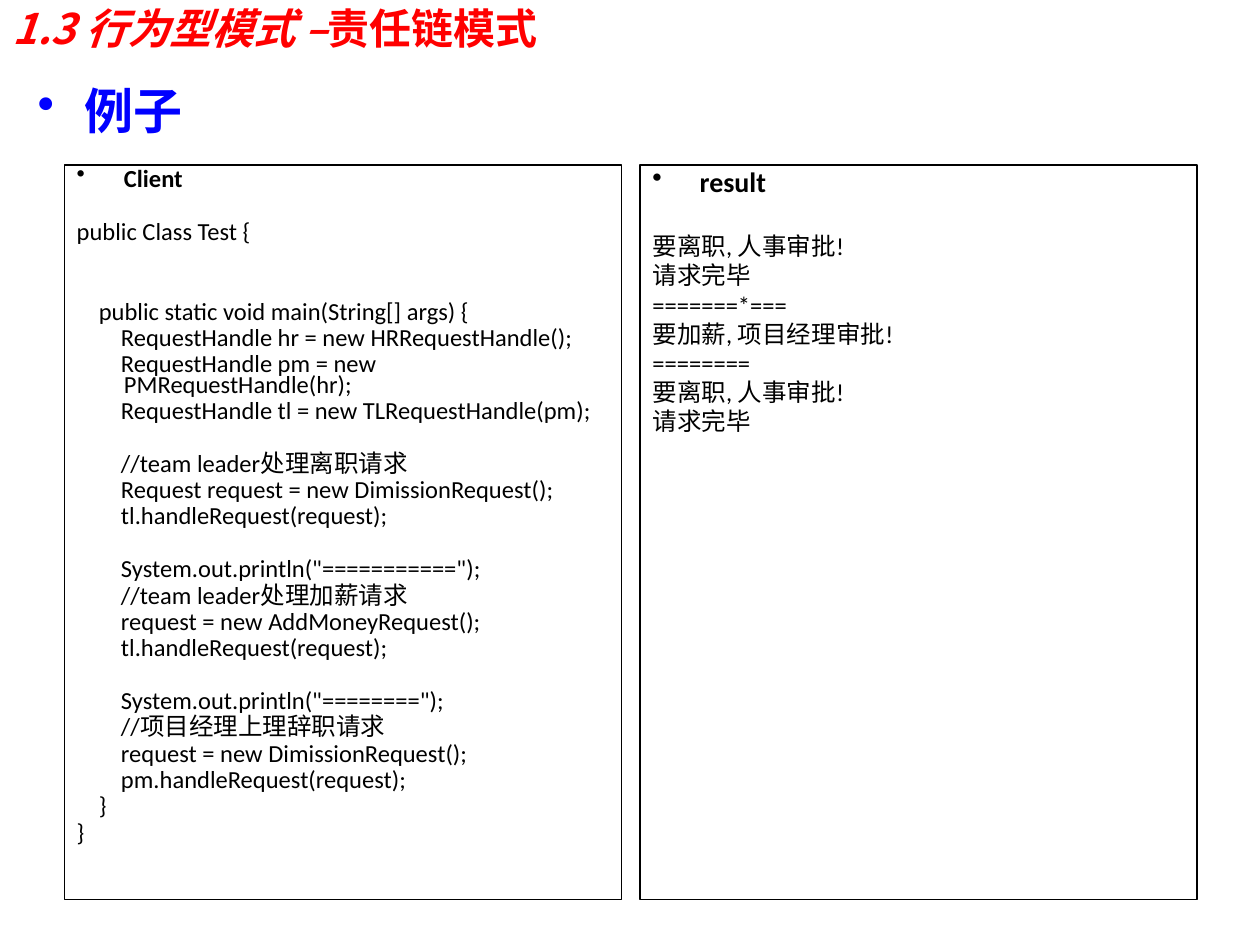
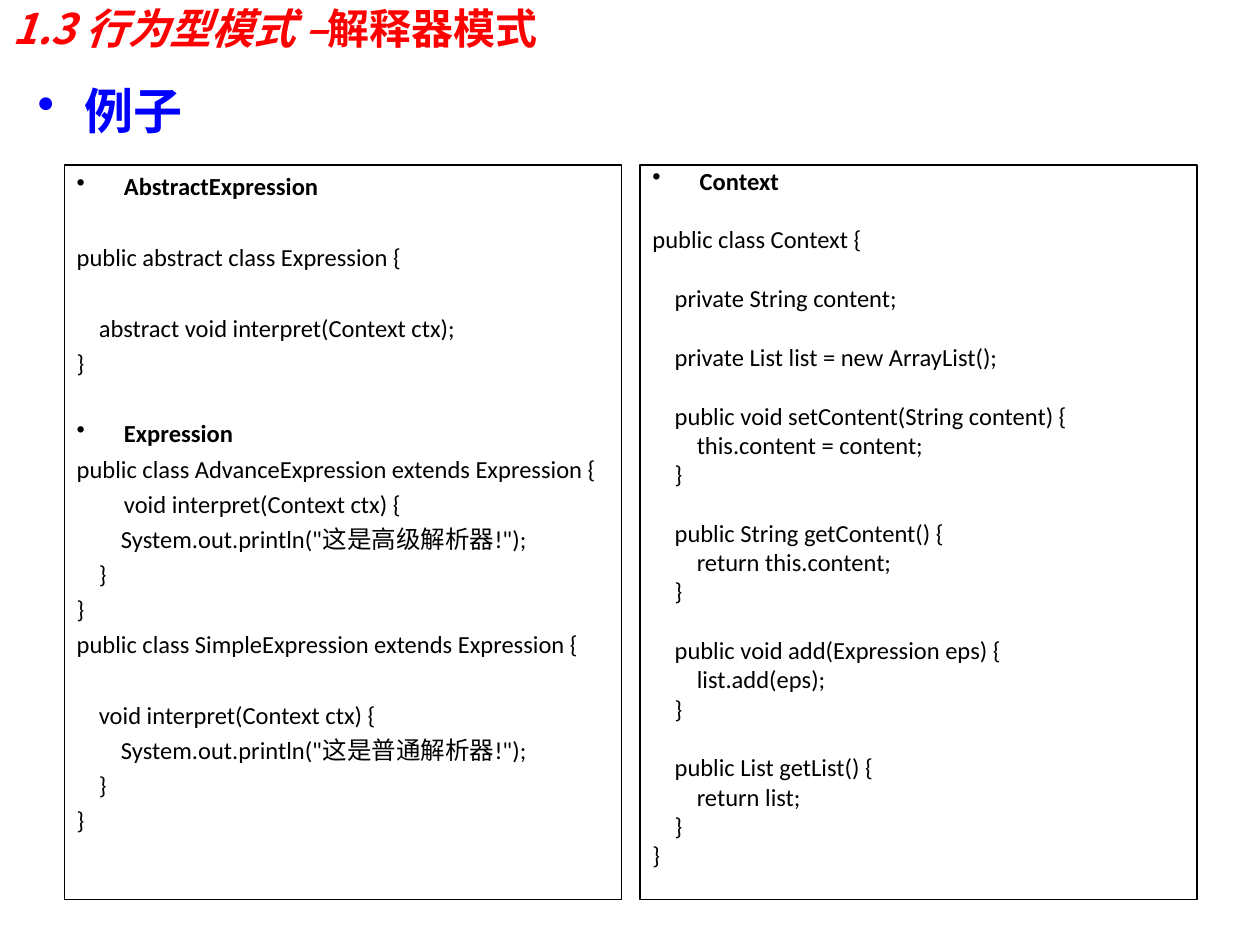
from dataclasses import dataclass

from lxml import etree
from pptx import Presentation
from pptx.dml.color import RGBColor
from pptx.enum.shapes import MSO_SHAPE
from pptx.enum.text import MSO_ANCHOR, MSO_AUTO_SIZE, PP_ALIGN
from pptx.oxml.ns import qn
from pptx.util import Pt

RECTANGLE = MSO_SHAPE.RECTANGLE
TOP, MIDDLE = MSO_ANCHOR.TOP, MSO_ANCHOR.MIDDLE
GROW = MSO_AUTO_SIZE.SHAPE_TO_FIT_TEXT
LEFT = PP_ALIGN.LEFT

RED = RGBColor(0xFF, 0x00, 0x00)
BLUE = RGBColor(0x00, 0x00, 0xFF)
BLACK = RGBColor(0x00, 0x00, 0x00)
LATIN_FONT = "Calibri"
CJK_FONT = "Noto Sans CJK SC"

BULLET = "•"
HANGING = 27
CODE_SIZE = 14
CODE_SPACE = 3.25
LINE_HEIGHT = 1.22  # single line height of Calibri, relative to its size

PANEL_LEFT, PANEL_TOP = 36.75, 94.3
PANEL_WIDTH, PANEL_HEIGHT = 318.25, 419.75
PANEL_GAP = 10.75


@dataclass(frozen=True)
class Panel:
    """Code listing; lines that start with a bullet are headings."""
    listing: str
    line_spacing: float
    heading_size: int = CODE_SIZE


@dataclass(frozen=True)
class ExampleSlide:
    pattern: str
    panels: tuple[Panel, Panel]


CLIENT = """• Client

public Class Test {


    public static void main(String[] args) {
        RequestHandle hr = new HRRequestHandle();
        RequestHandle pm = new PMRequestHandle(hr);
        RequestHandle tl = new TLRequestHandle(pm);

        //team leader处理离职请求
        Request request = new DimissionRequest();
        tl.handleRequest(request);

        System.out.println("===========");
        //team leader处理加薪请求
        request = new AddMoneyRequest();
        tl.handleRequest(request);

        System.out.println("========");
        //项目经理上理辞职请求
        request = new DimissionRequest();
        pm.handleRequest(request);
    }
}"""

RESULT = """• result

要离职, 人事审批!
请求完毕
=======*===
要加薪, 项目经理审批!
========
要离职, 人事审批!
请求完毕"""

EXPRESSIONS = """• AbstractExpression

public abstract class Expression {

    abstract void interpret(Context ctx);
}

• Expression
public class AdvanceExpression extends Expression {
\tvoid interpret(Context ctx) {
        System.out.println("这是高级解析器!");
    }
}
public class SimpleExpression extends Expression {

    void interpret(Context ctx) {
        System.out.println("这是普通解析器!");
    }
}"""

CONTEXT = """• Context

public class Context {

    private String content;

    private List list = new ArrayList();

    public void setContent(String content) {
        this.content = content;
    }

    public String getContent() {
        return this.content;
    }

    public void add(Expression eps) {
        list.add(eps);
    }

    public List getList() {
        return list;
    }
}"""

SLIDES = (
    ExampleSlide("责任链模式", (Panel(CLIENT, 0.7), Panel(RESULT, 0.8, 16))),
    ExampleSlide("解释器模式", (Panel(EXPRESSIONS, 1.0), Panel(CONTEXT, 0.8))),
)


def set_typeface(font, properties, typeface: str) -> None:
    """Use one typeface for Latin and East Asian text."""
    font.name = typeface
    etree.SubElement(properties, qn("a:ea"), typeface=typeface)


def style_paragraph(paragraph, size: int, color: RGBColor, bold: bool) -> None:
    font = paragraph.font
    font.size = Pt(size)
    font.bold = bold
    font.color.rgb = color
    properties = paragraph._p.pPr.find(qn("a:defRPr"))
    set_typeface(font, properties, LATIN_FONT)


def hang(paragraph, bullet_color: RGBColor | None = None) -> None:
    """Indent wrapped lines, with a coloured bullet where a colour is given."""
    properties = paragraph._p.get_or_add_pPr()
    properties.set("marL", str(Pt(HANGING)))
    properties.set("indent", str(-Pt(HANGING)))
    if bullet_color is None:
        etree.SubElement(properties, qn("a:buNone"))
        return
    color = etree.SubElement(properties, qn("a:buClr"))
    etree.SubElement(color, qn("a:srgbClr"), val=str(bullet_color))
    etree.SubElement(properties, qn("a:buChar"), char=BULLET)


def add_title(slide, pattern: str) -> None:
    frame = slide.shapes.add_textbox(Pt(0), Pt(0), Pt(648), Pt(31.7)).text_frame
    frame.word_wrap = True
    frame.vertical_anchor = MIDDLE
    paragraph = frame.paragraphs[0]
    paragraph.font.size = Pt(24)
    paragraph.font.bold = True
    paragraph.font.color.rgb = RED
    parts = (("1.3 行为型模式 –", CJK_FONT, True), (pattern, LATIN_FONT, False))
    for text, typeface, italic in parts:
        run = paragraph.add_run()
        run.text = text
        run.font.italic = italic
        set_typeface(run.font, run._r.get_or_add_rPr(), typeface)


def add_section_heading(slide) -> None:
    frame = slide.shapes.add_textbox(Pt(14.4), Pt(49), Pt(255), Pt(75)).text_frame
    frame.word_wrap = True
    frame.auto_size = GROW
    paragraph = frame.paragraphs[0]
    paragraph.text = "例子"
    hang(paragraph, BLUE)
    paragraph.line_spacing = 0.8
    style_paragraph(paragraph, 28, BLUE, True)


def add_panel(slide, panel: Panel, column: int) -> None:
    left = PANEL_LEFT + column * (PANEL_WIDTH + PANEL_GAP)
    box = slide.shapes.add_shape(
        RECTANGLE, Pt(left), Pt(PANEL_TOP), Pt(PANEL_WIDTH), Pt(PANEL_HEIGHT))
    box.shadow.inherit = False
    box.fill.background()
    box.line.color.rgb = BLACK
    box.line.width = Pt(0.75)
    frame = box.text_frame
    frame.word_wrap = True
    frame.vertical_anchor = TOP

    blank_line = panel.heading_size * LINE_HEIGHT * panel.line_spacing + CODE_SPACE
    space_before = 0.0
    for number, line in enumerate(panel.listing.split("\n")):
        if not line:
            space_before += blank_line
            continue
        is_heading = line.startswith(BULLET)
        paragraph = frame.add_paragraph() if number else frame.paragraphs[0]
        paragraph.add_run().text = line.removeprefix(BULLET + " ")
        hang(paragraph, BLACK if is_heading else None)
        paragraph.alignment = LEFT
        paragraph.line_spacing = panel.line_spacing
        paragraph.space_before = Pt(round(space_before, 2))
        size = panel.heading_size if is_heading else CODE_SIZE
        style_paragraph(paragraph, size, BLACK, is_heading)
        space_before = CODE_SPACE


def main() -> None:
    presentation = Presentation()
    presentation.slide_width = Pt(720)
    presentation.slide_height = Pt(540)
    blank_layout = presentation.slide_layouts[6]
    for example in SLIDES:
        slide = presentation.slides.add_slide(blank_layout)
        add_title(slide, example.pattern)
        add_section_heading(slide)
        for column, panel in enumerate(example.panels):
            add_panel(slide, panel, column)
    presentation.save("out.pptx")


if __name__ == "__main__":
    main()
